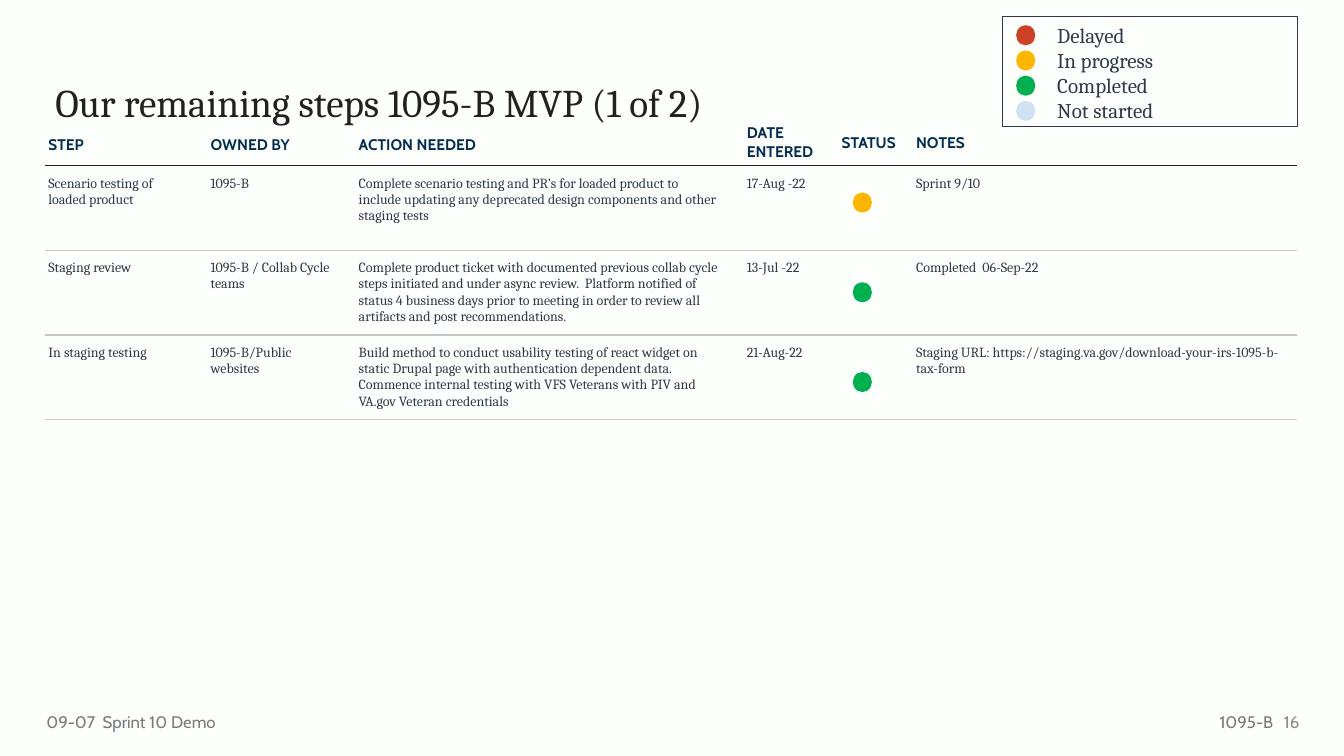
from lxml.etree import SubElement
from pptx import Presentation
from pptx.dml.color import RGBColor
from pptx.enum.shapes import MSO_SHAPE as Shape
from pptx.enum.text import MSO_ANCHOR as Anchor, MSO_AUTO_SIZE as AutoSize, PP_ALIGN as Align
from pptx.oxml import parse_xml
from pptx.oxml.ns import nsdecls, qn
from pptx.util import Pt

INK, BLACK, NAVY, GRAY, RULE = "303A46", "202120", "022D50", "747C74", "C7C7C7"
RED, AMBER, GREEN, PALE = "CC4125", "FEB600", "00B050", "CFE2F3"


def color(hex_code):
    return RGBColor.from_string(hex_code)


class StepsSlide:
    serif, sans = "Cambria", "Cabin"
    dot_width, dot_height = 13.7, 14.4

    def __init__(self, deck, background):
        self.slide = deck.slides.add_slide(deck.slide_layouts[6])
        self.slide.background.fill.solid()
        self.slide.background.fill.fore_color.rgb = color(background)

    def set_words(self, holder, words, size, font, ink, insets, bold=False,
                  align=Align.LEFT, spacing=1.0):
        """Fill a text frame or table cell; insets run left, top, right, bottom."""
        (holder.margin_left, holder.margin_top,
         holder.margin_right, holder.margin_bottom) = map(Pt, insets)
        holder.word_wrap = True
        frame = getattr(holder, "text_frame", holder)
        frame.text = words
        for paragraph in frame.paragraphs:
            paragraph.alignment = align
            paragraph.line_spacing = spacing
            paragraph.font.size = Pt(size)
            for run in paragraph.runs:
                run.font.size, run.font.name, run.font.bold = Pt(size), font, bold
                run.font.color.rgb = color(ink)

    def text(self, left, top, width, height, words, size, font, ink,
             insets=(7.2, 3.6, 7.2, 3.6), anchor=Anchor.TOP, grow=False, **style):
        box = self.slide.shapes.add_textbox(Pt(left), Pt(top), Pt(width), Pt(height))
        frame = box.text_frame
        self.set_words(frame, words, size, font, ink, insets, **style)
        frame.vertical_anchor = anchor
        frame.auto_size = AutoSize.SHAPE_TO_FIT_TEXT if grow else AutoSize.NONE

    def dot(self, left, top, fill):
        dot = self.slide.shapes.add_shape(
            Shape.OVAL, Pt(left), Pt(top), Pt(self.dot_width), Pt(self.dot_height))
        dot.shadow.inherit = False
        dot.fill.solid()
        dot.fill.fore_color.rgb = color(fill)
        dot.line.fill.background()

    def frame(self, left, top, width, height, line):
        frame = self.slide.shapes.add_shape(
            Shape.RECTANGLE, Pt(left), Pt(top), Pt(width), Pt(height))
        frame.shadow.inherit = False
        frame.fill.background()
        frame.line.color.rgb = color(line)
        frame.line.width = Pt(0.75)

    def borders(self, cell, top, bottom):
        sides = (("lnL", None), ("lnR", None), ("lnT", top), ("lnB", bottom))
        for place, (side, ink) in enumerate(sides):
            line = parse_xml(f'<a:{side} {nsdecls("a")} w="{Pt(1)}"/>')
            if ink:
                SubElement(SubElement(line, qn("a:solidFill")), qn("a:srgbClr"), val=ink)
            else:
                SubElement(line, qn("a:noFill"))
            cell._tc.get_or_add_tcPr().insert(place, line)

    def table(self, left, top, widths, heights, rows):
        table = self.slide.shapes.add_table(
            len(rows), len(widths), Pt(left), Pt(top),
            Pt(sum(widths)), Pt(sum(heights))).table
        table.first_row = table.horz_banding = False
        for column, width in zip(table.columns, widths):
            column.width = Pt(width)
        for r, (height, row) in enumerate(zip(heights, rows)):
            table.rows[r].height = Pt(height)
            for c, words in enumerate(row):
                cell = table.cell(r, c)
                cell.fill.background()
                left_inset = 7.2 if c == 5 else 2.2
                if r == 0:
                    self.set_words(cell, words, 11, self.sans, NAVY,
                                   (left_inset, 2.2, 2.2, 2.2), bold=True,
                                   spacing=1.15 if c < 3 else 1.0)
                    cell.vertical_anchor = Anchor.TOP if "\n" in words else Anchor.MIDDLE
                    self.borders(cell, None, BLACK)
                else:
                    self.set_words(cell, words, 10, self.serif, INK,
                                   (left_inset, 7.2, 14.4 if c < 3 else 2.2, 7.2))
                    self.borders(cell, BLACK if r == 1 else RULE, RULE)


def main():
    deck = Presentation()
    deck.slide_width, deck.slide_height = Pt(960), Pt(540)
    steps = StepsSlide(deck, "FDFFFD")

    # Table of steps
    steps.table(32.4, 86.4, (115.9, 105.8, 277.2, 67.7, 48.2, 279.4),
                (31.7, 60.6, 60.6, 60.6), (
        ("STEP", "OWNED BY", "ACTION NEEDED", "DATE\nENTERED", "STATUS", "NOTES"),
        ("Scenario testing of loaded product", "1095-B",
         "Complete scenario testing and PR’s for loaded product to include updating "
         "any deprecated design components and other staging tests",
         "17-Aug -22", "", "Sprint 9/10"),
        ("Staging review", "1095-B / Collab Cycle teams",
         "Complete product ticket with documented previous collab cycle steps "
         "initiated and under async review.  Platform notified of status 4 business "
         "days prior to meeting in order to review all artifacts and post "
         "recommendations.",
         "13-Jul -22", "", "Completed  06-Sep-22"),
        ("In staging testing", "1095-B/Public websites",
         "Build method to conduct usability testing of react widget on static Drupal "
         "page with authentication dependent data.  Commence internal testing with "
         "VFS Veterans with PIV and VA.gov Veteran credentials",
         "21-Aug-22", "",
         "Staging URL: https://staging.va.gov/download-your-irs-1095-b-tax-form"),
    ))

    # Status of each step
    for step, status in enumerate((AMBER, GREEN, GREEN)):
        steps.dot(609.1, 137.5 + 64.1 * step, status)

    # Title
    steps.text(32.4, 56.2, 634.3, 104.4, "Our remaining steps 1095-B MVP (1 of 2)",
               28, steps.serif, BLACK, spacing=0.9)

    # Legend
    legend = {"Delayed": RED, "In progress": AMBER, "Completed": GREEN, "Not started": PALE}
    steps.frame(716.4, 11.5, 210.2, 79.2, INK)
    for place, status in enumerate(legend.values()):
        steps.dot(725.8, 18 + 18 * place, status)
    steps.text(748.1, 8.6, 178.6, 87.1, "\n".join(legend), 15, steps.serif, INK,
               insets=(7.2,) * 4, grow=True)

    # Footer
    steps.text(33.1, 504.7, 214.6, 21.6, "09-07  Sprint 10 Demo", 12, steps.sans, GRAY,
               insets=(0, 3.6, 7.2, 3.6), grow=True)
    steps.text(798.5, 504.7, 118.1, 21.6, "1095-B", 12, steps.sans, GRAY,
               grow=True, align=Align.RIGHT)
    steps.text(903.6, 501.1, 31.7, 28.8, "16", 12, steps.sans, "8A8A8A",
               anchor=Anchor.MIDDLE, align=Align.RIGHT)

    deck.save("out.pptx")


if __name__ == "__main__":
    main()
